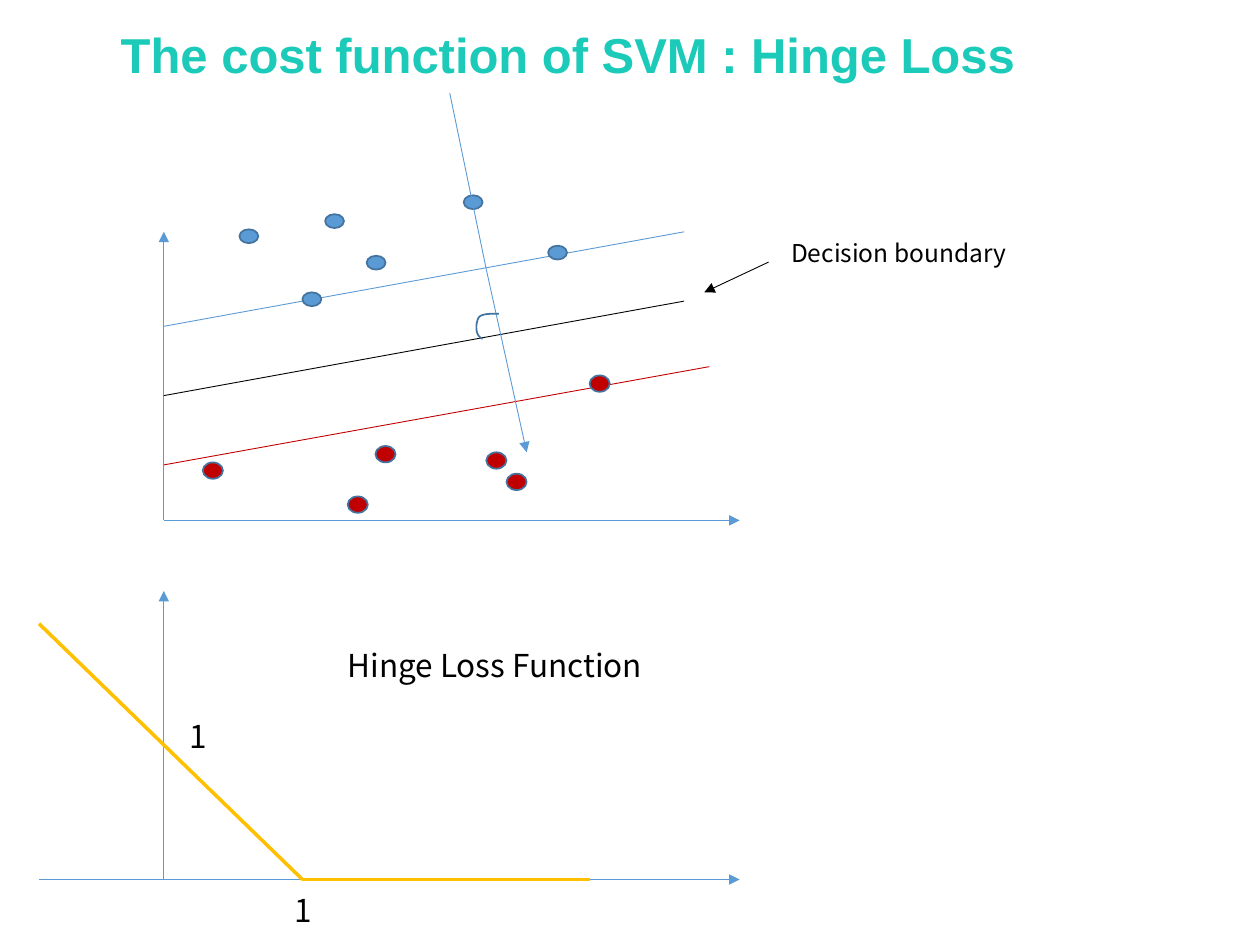
from dataclasses import dataclass

from lxml import etree
from pptx import Presentation
from pptx import util as u
from pptx.dml.color import RGBColor
from pptx.enum import shapes, text
from pptx.oxml import ns

PX = 9144
FONT = "Noto Sans CJK KR"
COLORS = {
    "title": "1CCAB9",
    "blue": "5B9BD5",
    "red": "C00000",
    "black": "000000",
    "outline": "43739E",
    "loss": "FFC000",
}


@dataclass
class Line:
    start: tuple[int, int]
    end: tuple[int, int]
    color: str = "blue"
    width: float = 0.5
    arrow: bool = False


@dataclass
class Label:
    words: str
    box: tuple[int, int, int, int]
    size: int = 18
    font: str = FONT
    color: str = "black"
    bold: bool = False
    wrap: bool = True
    anchor: text.MSO_ANCHOR = text.MSO_ANCHOR.TOP


@dataclass
class PointClass:
    color: str
    size: tuple[int, int]
    corners: list[tuple[int, int]]


ORIGIN = (130, 413)
LOSS_ORIGIN = (130, 698)
HINGE = (240, 698)
VECTOR_JOINT = (386, 214)

BOUNDARY_LINES = [
    Line(ORIGIN, (587, 413), arrow=True),
    Line(ORIGIN, (130, 184), arrow=True),
    Line((130, 259), (543, 184)),
    Line((130, 369), (563, 291), "red"),
    Line((130, 314), (543, 239), "black"),
    Line((610, 208), (559, 232), "black", arrow=True),
]
NORMAL_AND_LOSS_LINES = [
    Line((357, 74), VECTOR_JOINT),
    Line(VECTOR_JOINT, (418, 359), arrow=True),
    Line((31, 698), (587, 698), arrow=True),
    Line(LOSS_ORIGIN, (130, 469), arrow=True),
    Line((468, 698), HINGE, "loss", 2),
    Line(HINGE, (31, 495), "loss", 2),
]
POINT_CLASSES = [
    PointClass("blue", (15, 11), [(190, 182), (258, 170), (435, 195),
                                  (240, 232), (368, 155), (291, 203)]),
    PointClass("red", (16, 13), [(386, 359), (161, 367), (468, 298),
                                 (276, 394), (298, 354), (402, 376)]),
]
LABELS = [
    Label("The cost function of SVM : Hinge Loss", (86, -1, 765, 88), 28, "Arial",
          "title", True, False, text.MSO_ANCHOR.MIDDLE),
    Label("Decision boundary", (618, 184, 193, 34), 14),
    Label("1", (224, 702, 30, 40)),
    Label("1", (141, 564, 30, 40)),
    Label("Hinge Loss Function", (266, 508, 388, 40)),
]
RIGHT_ANGLE = [
    [(396, 249), (389, 249), (382, 249), (380, 252)],
    [(380, 252), (378, 255), (376, 266), (383, 269)],
]


def rgb(name: str) -> RGBColor:
    return RGBColor.from_string(COLORS[name])


def draw_line(slide, line: Line) -> None:
    ends = [value * PX for value in (*line.start, *line.end)]
    connector = slide.shapes.add_connector(shapes.MSO_CONNECTOR.STRAIGHT, *ends)
    connector.line.color.rgb = rgb(line.color)
    connector.line.width = u.Pt(line.width)
    if line.arrow:
        stroke = connector.line._get_or_add_ln()
        etree.SubElement(stroke, ns.qn("a:tailEnd"), type="triangle")
    etree.SubElement(connector._element.spPr, ns.qn("a:effectLst"))


def draw_points(slide, group: PointClass) -> None:
    for corner in group.corners:
        box = [value * PX for value in (*corner, *group.size)]
        point = slide.shapes.add_shape(shapes.MSO_SHAPE.OVAL, *box)
        point.shadow.inherit = False
        point.fill.solid()
        point.fill.fore_color.rgb = rgb(group.color)
        point.line.color.rgb = rgb("outline")
        point.line.width = u.Pt(1)


def draw_label(slide, label: Label) -> None:
    frame = slide.shapes.add_textbox(*[value * PX for value in label.box]).text_frame
    frame.text = label.words
    frame.word_wrap = label.wrap
    frame.vertical_anchor = label.anchor
    font = frame.paragraphs[0].runs[0].font
    font.size = u.Pt(label.size)
    font.name = label.font
    font.bold = label.bold
    font.color.rgb = rgb(label.color)
    if label.font == FONT:
        etree.SubElement(font._element, ns.qn("a:ea"), typeface=label.font)


def curve_point(controls: list[tuple[int, int]], t: float) -> tuple[int, int]:
    weights = ((1 - t) ** 3, 3 * t * (1 - t) ** 2, 3 * t ** 2 * (1 - t), t ** 3)
    x, y = (sum(w * c for w, c in zip(weights, axis)) for axis in zip(*controls))
    return round(x * PX), round(y * PX)


def draw_curve(slide, curves: list[list[tuple[int, int]]], steps: int = 12) -> None:
    start, *rest = [curve_point(c, i / steps) for c in curves for i in range(steps + 1)]
    builder = slide.shapes.build_freeform(*start, scale=1.0)
    builder.add_line_segments(rest, close=False)
    curve = builder.convert_to_shape()
    curve.shadow.inherit = False
    curve.fill.background()
    curve.line.color.rgb = rgb("outline")
    curve.line.width = u.Pt(1)


def main() -> None:
    deck = Presentation()
    deck.slide_width, deck.slide_height = 1000 * PX, 750 * PX
    slide = deck.slides.add_slide(deck.slide_layouts[6])
    for line in BOUNDARY_LINES:
        draw_line(slide, line)
    for group in POINT_CLASSES:
        draw_points(slide, group)
    for line in NORMAL_AND_LOSS_LINES:
        draw_line(slide, line)
    draw_curve(slide, RIGHT_ANGLE)
    for label in LABELS:
        draw_label(slide, label)
    deck.save("out.pptx")


if __name__ == "__main__":
    main()
